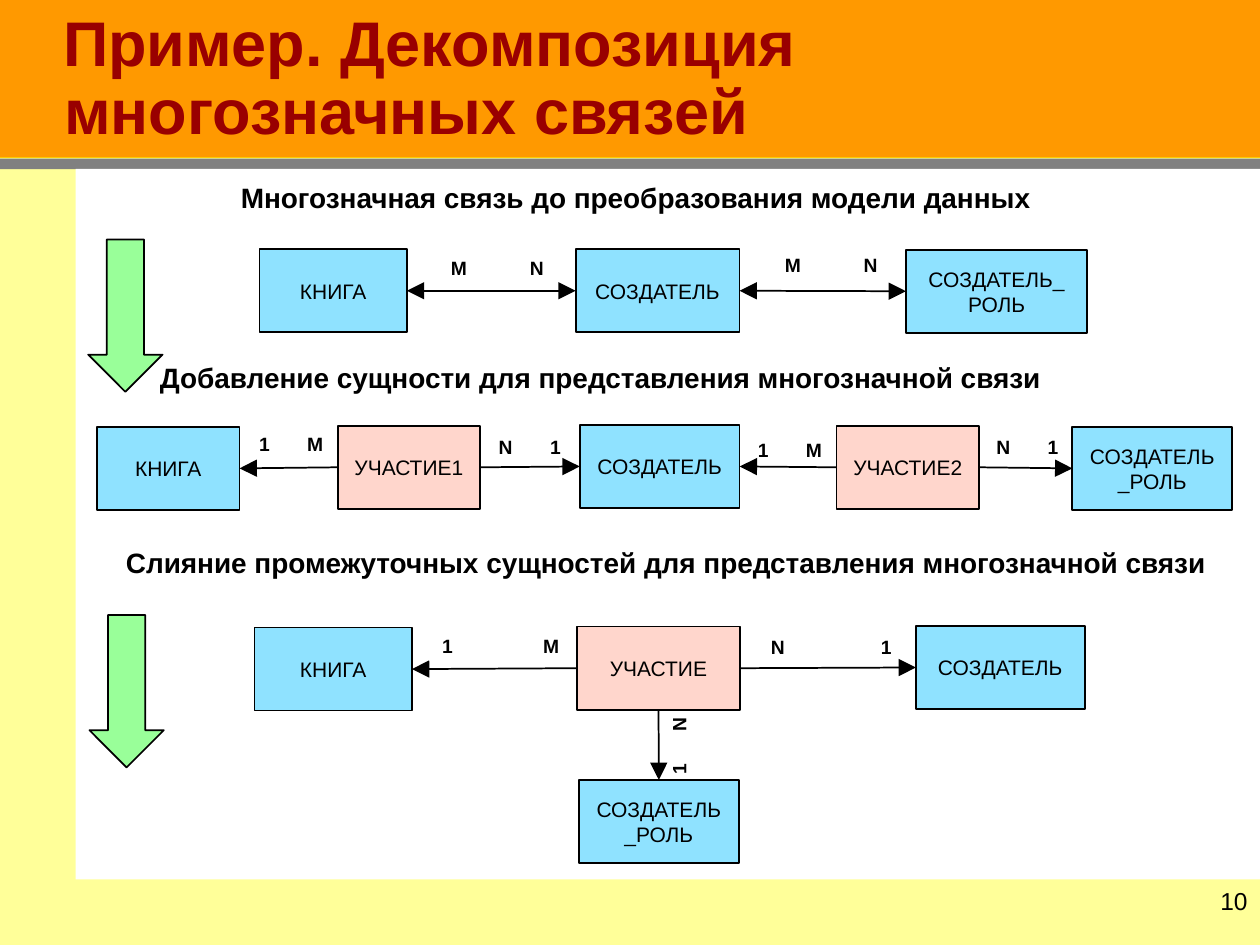
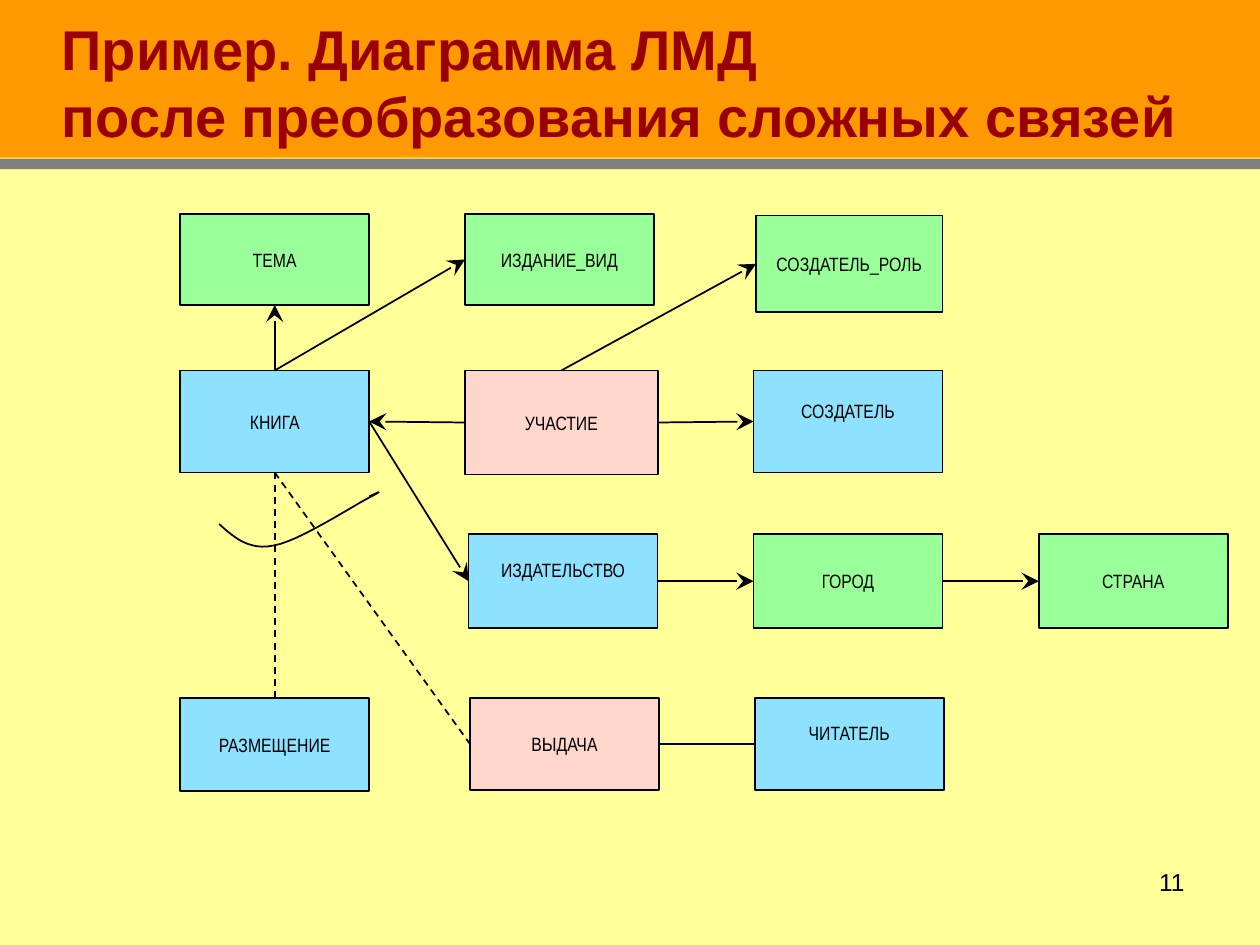
from lxml.etree import SubElement
from pptx import Presentation
from pptx.dml.color import RGBColor
from pptx.enum.dml import MSO_LINE
from pptx.enum.shapes import MSO_CONNECTOR, MSO_SHAPE
from pptx.enum.text import MSO_ANCHOR, MSO_AUTO_SIZE, PP_ALIGN
from pptx.oxml.ns import qn
from pptx.util import Pt

COLORS = {
    "backdrop": "B2B2B2", "header": "FF9900", "page": "FFFF99", "rule": "808080",
    "edge": "FFCC00", "title": "990000", "ink": "000000", "panel": "FFFFFF",
    "entity": "8FE2FF", "link_entity": "FFD6CC", "reference": "99FF99",
}
TOP, LEFT, BOTTOM, RIGHT = range(4)
ENTITY_HEIGHT = 47.5
LABEL_HEIGHT = 21


def color(name):
    return RGBColor.from_string(COLORS[name])


def assign(target, values):
    for name, value in values.items():
        setattr(target, name, value)


def set_font(paragraph, size, bold=False, name="Arial", ink="ink"):
    assign(paragraph.font, {"size": Pt(size), "bold": bold, "name": name})
    paragraph.font.color.rgb = color(ink)


def add_block(slide, kind, box, fill, outlined=True):
    block = slide.shapes.add_shape(kind, *map(Pt, box))
    block.shadow.inherit = False
    block.fill.solid()
    block.fill.fore_color.rgb = color(fill)
    if outlined:
        set_line(block.line)
    else:
        block.line.fill.background()
    return block


def set_line(line, ink="ink"):
    line.width = Pt(1)
    line.color.rgb = color(ink)


def add_entity(slide, box, name, fill, size=12, font="Arial", lift=0):
    entity = add_block(slide, MSO_SHAPE.RECTANGLE, box, fill)
    frame = entity.text_frame
    assign(frame, {"text": name, "word_wrap": True,
                   "vertical_anchor": MSO_ANCHOR.MIDDLE,
                   "margin_bottom": Pt(3.6 + lift)})
    frame.paragraphs[0].alignment = PP_ALIGN.CENTER
    set_font(frame.paragraphs[0], size, name=font)
    return entity


def add_text(slide, box, text, size, bold=False, indent=0, align=PP_ALIGN.LEFT):
    note = slide.shapes.add_textbox(*map(Pt, box))
    assign(note.text_frame, {"text": text, "word_wrap": True,
                             "margin_left": Pt(7.2 + indent)})
    paragraph = note.text_frame.paragraphs[0]
    paragraph.alignment = align
    set_font(paragraph, size, bold)
    return note


def add_line(slide, ends, ink="ink"):
    line = slide.shapes.add_connector(MSO_CONNECTOR.STRAIGHT, *map(Pt, ends))
    set_line(line.line, ink)
    SubElement(line._element.spPr, qn("a:effectLst"))
    return line


def add_link(slide, source, source_side, target, target_side,
             arrow="triangle", both=False, dashed=False):
    link = add_line(slide, (0, 0, 0, 0))
    link.begin_connect(source, source_side)
    link.end_connect(target, target_side)
    if dashed:
        link.line.dash_style = MSO_LINE.DASH
    outline = link.line._get_or_add_ln()
    for end in ("headEnd", "tailEnd"):
        if arrow and (both or end == "tailEnd"):
            SubElement(outline, qn(f"a:{end}"), type=arrow, w="lg", len="lg")


def add_cardinality(slide, left, top, ends, span, rotation=0):
    label = add_text(slide, (left, top, span + 20, LABEL_HEIGHT),
                     "\t".join(ends), 11, True)
    label.rotation = rotation
    properties = label.text_frame.paragraphs[0]._p.get_or_add_pPr()
    stops = SubElement(properties, qn("a:tabLst"))
    SubElement(stops, qn("a:tab"), pos=str(Pt(span)), algn="r")


def build_layout(layout, slide):
    layout.background.fill.solid()
    layout.background.fill.fore_color.rgb = color("backdrop")
    bands = [add_block(slide, MSO_SHAPE.RECTANGLE, box, fill, False)
             for box, fill in (((0, 0, 720, 90), "header"),
                               ((0, 90, 720, 450), "page"),
                               ((0, 90.7, 720, 6), "rule"))]
    bands.append(add_line(slide, (0, 90, 720, 90), "edge"))
    for position, band in enumerate(bands, 2):
        layout.shapes._spTree.insert(position, band._element)


def add_title(slide, text, size, indent, spacing):
    title = slide.shapes.title
    assign(title, {"left": 0, "top": Pt(4.3), "width": Pt(720), "height": Pt(84.2)})
    title.fill.solid()
    title.fill.fore_color.rgb = color("header")
    assign(title.text_frame, {"text": text, "word_wrap": True,
                              "auto_size": MSO_AUTO_SIZE.NONE,
                              "vertical_anchor": MSO_ANCHOR.BOTTOM})
    paragraph = title.text_frame.paragraphs[0]
    assign(paragraph, {"alignment": PP_ALIGN.LEFT, "line_spacing": spacing,
                       "space_before": Pt(0)})
    set_font(paragraph, size, True, ink="title")
    left, first = indent
    properties = paragraph._p.get_or_add_pPr()
    properties.set("marL", str(Pt(left)))
    properties.set("indent", str(Pt(first)))


def add_page_number(slide, box, number):
    add_text(slide, box, number, 14, align=PP_ALIGN.RIGHT)


def add_stage(slide, left, top, heading, entities, links, cardinalities):
    heading_left, heading_width, heading_text = heading
    add_text(slide, (left + heading_left, top, heading_width, 26.6),
             heading_text, 16, True, 14.4)
    drawn = [add_entity(slide, (left + x, top + y, width, ENTITY_HEIGHT), name, fill)
             for name, x, y, width, fill in entities]
    for source, source_side, target, target_side, both in links:
        add_link(slide, drawn[source], source_side, drawn[target], target_side, both=both)
    for x, y, *label in cardinalities:
        add_cardinality(slide, left + x, top + y, *label)


def build_decomposition(slide):
    add_title(slide, "Пример. Декомпозиция многозначных связей", 36, (29.5, -0.7), 0.9)
    add_page_number(slide, (685.4, 502.6, 34.6, 37.4), "10")
    add_block(slide, MSO_SHAPE.RECTANGLE, (43.2, 96.5, 676.8, 406), "panel", False)
    add_stage(
        slide, 50, 99.4,
        (66, 558, "Многозначная связь до преобразования модели данных"),
        [("КНИГА", 98.3, 43, 84.2, "entity"),
         ("СОЗДАТЕЛЬ", 279, 43, 93.6, "entity"),
         ("СОЗДАТЕЛЬ_\vРОЛЬ", 467.7, 43.3, 103.7, "entity")],
        [(0, RIGHT, 1, LEFT, True), (1, RIGHT, 2, LEFT, True)],
        [(200.6, 43.2, "MN", 53), (391.4, 41.7, "MN", 53)])
    add_stage(
        slide, 50, 202.3,
        (19.8, 579.6, "Добавление сущности для представления многозначной связи"),
        [("КНИГА", 5.5, 41.6, 81.4, "entity"),
         ("УЧАСТИЕ1", 143, 41, 81.4, "link_entity"),
         ("СОЗДАТЕЛЬ", 281.3, 40.5, 91.4, "entity"),
         ("УЧАСТИЕ2", 428.1, 41, 81.4, "link_entity"),
         ("СОЗДАТЕЛЬ_РОЛЬ", 562.8, 41.6, 91.4, "entity")],
        [(1, LEFT, 0, RIGHT, False), (1, RIGHT, 2, LEFT, False),
         (3, LEFT, 2, RIGHT, False), (3, RIGHT, 4, LEFT, False)],
        [(91, 41, "1M", 36.6), (227.9, 42.6, "N1", 35.5),
         (376, 44.8, "1M", 36.6), (512.3, 42.8, "N1", 35.5)])
    add_stage(
        slide, 50, 308.2,
        (0.4, 660.2, "Слияние промежуточных сущностей для представления многозначной связи"),
        [("КНИГА", 95.4, 50.4, 90, "entity"),
         ("УЧАСТИЕ", 279.8, 49.9, 93, "link_entity"),
         ("СОЗДАТЕЛЬ", 473.4, 49.5, 96.5, "entity"),
         ("СОЗДАТЕЛЬ_РОЛЬ", 280.8, 137.5, 91.4, "entity")],
        [(1, LEFT, 0, RIGHT, False), (1, RIGHT, 2, LEFT, False),
         (1, BOTTOM, 3, TOP, False)],
        [(195.5, 50.4, "1M", 67), (383.4, 51, "N1", 69),
         (311.8, 104.7, "1N", 32.6, 270)])
    for left, top in ((50.4, 136.8), (51.1, 351.4)):
        add_block(slide, MSO_SHAPE.DOWN_ARROW, (left, top, 42.5, 87.1), "reference")


def bezier(start, first, second, end, steps=12):
    for step in range(1, steps + 1):
        t = step / steps
        weights = ((1 - t) ** 3, 3 * t * (1 - t) ** 2, 3 * t * t * (1 - t), t ** 3)
        yield tuple(sum(w * p[axis] for w, p in zip(weights, (start, first, second, end)))
                    for axis in (0, 1))


def add_choice_arc(slide, left, top):
    start = (22.3, 177.1)
    curves = [((30.9, 185), (39.6, 192.2), (53.2, 189.4)),
              ((67.6, 187.2), (99.3, 166.3), (108, 162)),
              ((117.3, 157), (113, 159.1), (108, 161.3))]
    points = [start]
    for curve in curves:
        points.extend(bezier(points[-1], *curve))
    places = [(Pt(left + x), Pt(top + y)) for x, y in points]
    builder = slide.shapes.build_freeform(*places[0])
    builder.add_line_segments(places[1:], close=False)
    arc = builder.convert_to_shape()
    arc.shadow.inherit = False
    arc.fill.background()
    set_line(arc.line)


def add_model(slide, left, top):
    lift = 12.6
    entities = {
        "ТЕМА": (0, 0, 108, 51.8, "reference"),
        "ИЗДАНИЕ_ВИД": (162.7, 0, 108, 51.8, "reference"),
        "СОЗДАТЕЛЬ_РОЛЬ": (329, 0.7, 106.6, 55.4, "reference"),
        "КНИГА": (0, 89.3, 108, 58.3, "entity"),
        "УЧАСТИЕ": (162.7, 89.3, 110.2, 59.5, "link_entity"),
        "СОЗДАТЕЛЬ": (327.6, 89.3, 108, 58.3, "entity", lift),
        "ИЗДАТЕЛЬСТВО": (164.8, 182.9, 108, 53.6, "entity", lift),
        "ГОРОД": (327.6, 182.9, 108, 53.6, "reference"),
        "СТРАНА": (490.6, 182.9, 108, 53.6, "reference"),
        "РАЗМЕЩЕНИЕ": (0, 276.5, 108, 53, "entity"),
        "ВЫДАЧА": (165.6, 276.5, 108, 52.6, "link_entity"),
        "ЧИТАТЕЛЬ": (328.3, 276.5, 108, 52.6, "entity", lift),
    }
    drawn = {}
    for name, (x, y, width, height, fill, *raised) in entities.items():
        drawn[name] = add_entity(slide, (left + x, top + y, width, height),
                                 name, fill, 11, "Arial Narrow", *raised)
    references = [
        ("КНИГА", TOP, "ТЕМА", BOTTOM),
        ("КНИГА", TOP, "ИЗДАНИЕ_ВИД", LEFT),
        ("КНИГА", RIGHT, "ИЗДАТЕЛЬСТВО", LEFT),
        ("УЧАСТИЕ", TOP, "СОЗДАТЕЛЬ_РОЛЬ", LEFT),
        ("УЧАСТИЕ", LEFT, "КНИГА", RIGHT),
        ("УЧАСТИЕ", RIGHT, "СОЗДАТЕЛЬ", LEFT),
        ("ИЗДАТЕЛЬСТВО", RIGHT, "ГОРОД", LEFT),
        ("ГОРОД", RIGHT, "СТРАНА", LEFT),
    ]
    for source, source_side, target, target_side in references:
        add_link(slide, drawn[source], source_side, drawn[target], target_side, "stealth")
    for source, source_side, target, target_side, dashed in (
            ("КНИГА", BOTTOM, "РАЗМЕЩЕНИЕ", TOP, True),
            ("КНИГА", BOTTOM, "ВЫДАЧА", LEFT, True),
            ("ВЫДАЧА", RIGHT, "ЧИТАТЕЛЬ", LEFT, False)):
        add_link(slide, drawn[source], source_side, drawn[target], target_side,
                 None, dashed=dashed)
    add_choice_arc(slide, left, top)


def build_model_diagram(slide):
    add_title(slide, "Пример. Диаграмма ЛМД\vпосле преобразования сложных связей",
              32, (28.1, 0), 1.0)
    add_page_number(slide, (516.2, 491.8, 167.8, 37.4), "11")
    add_model(slide, 103, 122.4)


def main():
    deck = Presentation()
    assign(deck, {"slide_width": Pt(720), "slide_height": Pt(540)})
    layout = deck.slide_layouts[5]
    decomposition, model_diagram = (deck.slides.add_slide(layout) for _ in range(2))
    build_layout(layout, decomposition)
    build_decomposition(decomposition)
    build_model_diagram(model_diagram)
    deck.save("out.pptx")


if __name__ == "__main__":
    main()
